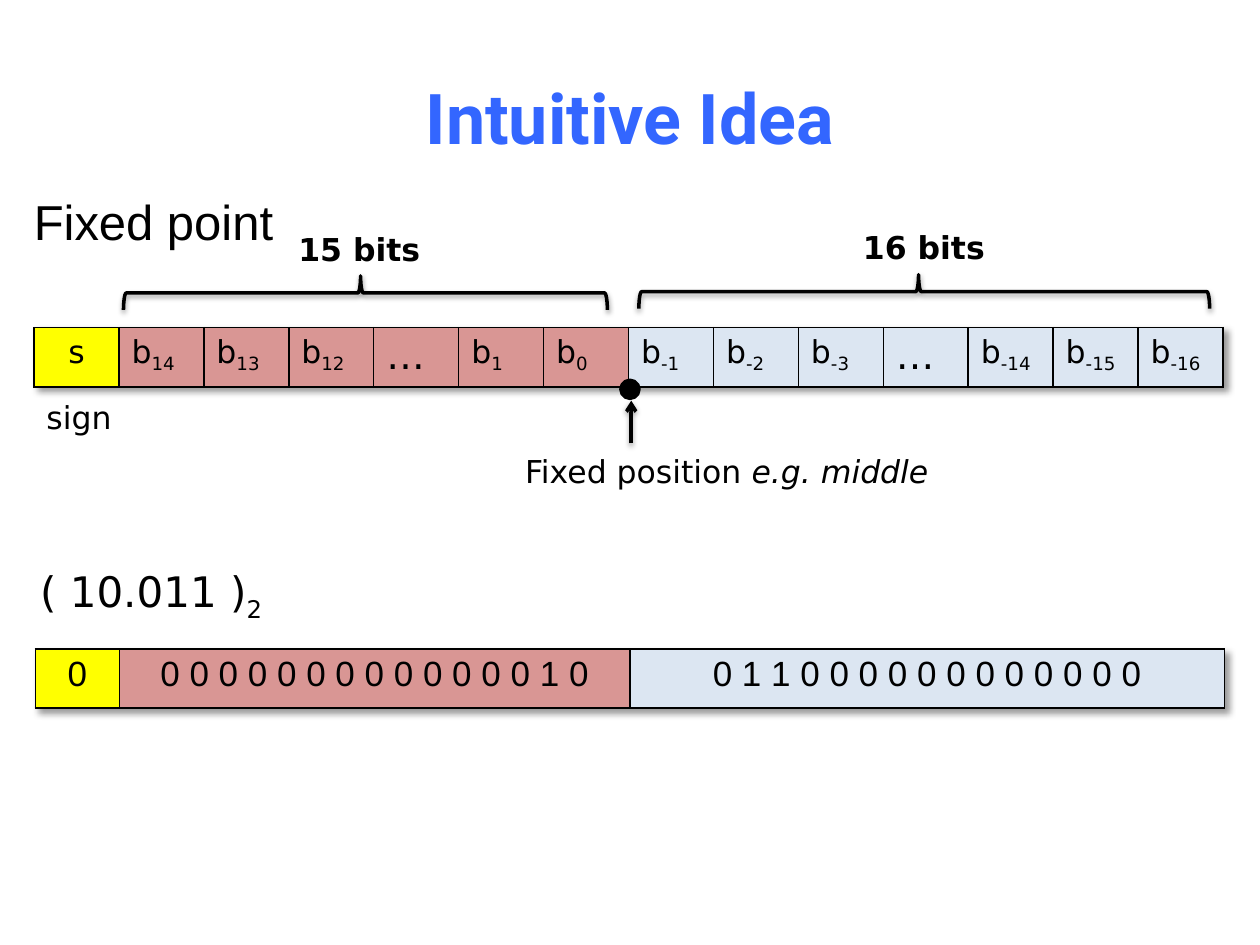
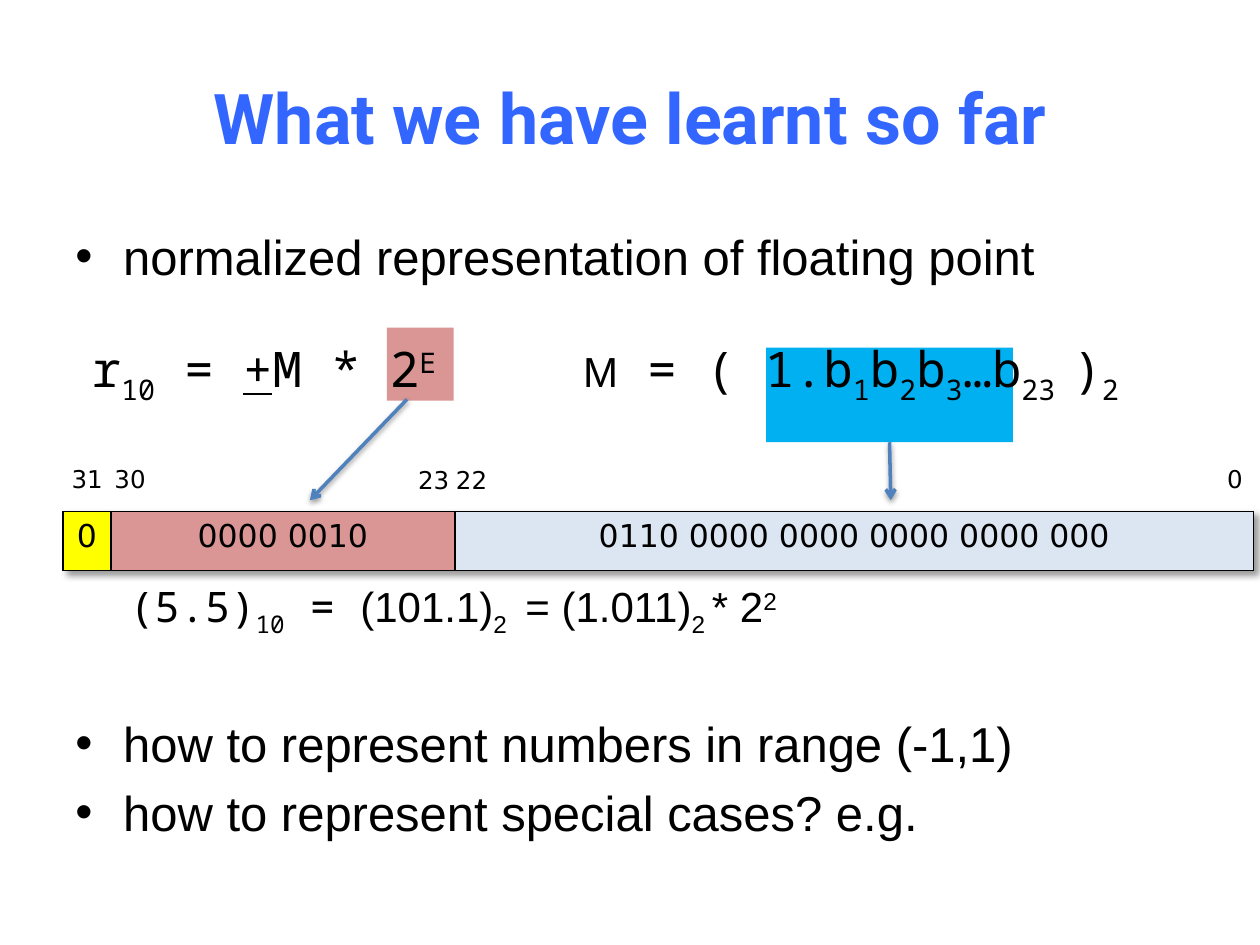
from lxml.etree import SubElement
from pptx import Presentation
from pptx.dml.color import RGBColor
from pptx.enum.shapes import MSO_CONNECTOR, MSO_SHAPE
from pptx.enum.text import MSO_ANCHOR, PP_ALIGN
from pptx.oxml import parse_xml
from pptx.oxml.ns import nsdecls, qn
from pptx.util import Inches, Pt

COLORS = {
    "title": "3366FF", "text": "000000", "sign": "FFFF00", "red": "D99694",
    "pale": "DCE6F2", "mantissa": "00B0F0", "arrow": "4F81BD",
}
TITLE_FONT, BODY_FONT, LABEL_FONT, MONO_FONT = "Roboto", "Arial", "DejaVu Sans", "Noto Sans Mono"
TABLE_WIDTH, ROW_HEIGHT = 9.44, 0.47
SOFT_SHADOW = {"blur": 3.1, "distance": 1.6, "angle": 90, "alpha": 38}
TABLE_SHADOW = {"blur": 4, "distance": 3, "angle": 45, "alpha": 40}


def sub(text):
    return text, {"baseline": -25}


def sup(text):
    return text, {"baseline": 30}


# Fixed point slide
WHOLE_BITS = ["14", "13", "12", "…", "1", "0"]
FRACTION_BITS = ["-1", "-2", "-3", "…", "-14", "-15", "-16"]
FIXED_VALUE = [
    ("0", "sign", 0.67),
    ("0 0 0 0 0 0 0 0 0 0 0 0 0 1 0", "red", 4.05),
    ("0 1 1 0 0 0 0 0 0 0 0 0 0 0 0", "pale", 4.72),
]
BRACES = [(0.98, 2.19, 3.84), (5.07, 2.18, 4.53)]  # left, top, width
BRACE_HEIGHT = 0.27
FIXED_LABELS = [  # left, top, width, height, runs, size, bold
    (0.27, 3.11, 0.72, 0.4, ["sign"], 18, False),
    (2.27, 1.78, 1.17, 0.4, ["15 bits"], 18, True),
    (6.75, 1.76, 1.39, 0.4, ["16 bits"], 18, True),
    (4.07, 3.54, 3.53, 0.4, ["Fixed position ", ("e.g. middle", {"italic": True})], 18, False),
    (0.22, 4.44, 2.18, 0.5, ["( 10.011 )", sub("2")], 24, False),
]

# Floating point slide
FLOAT_VALUE = [
    ("0", "sign", 0.38),
    ("0000 0010", "red", 2.73),
    ("0110 0000 0000 0000 0000 000", "pale", 6.34),
]
BIT_POSITIONS = [("31", 0.47, 3.63, 0.45), ("30", 0.81, 3.63, 0.45), ("23", 3.22, 3.64, 0.45),
                 ("22", 3.52, 3.64, 0.45), ("0", 9.64, 3.63, 0.33)]
ARIAL = {"font": BODY_FONT}
EXAMPLE = ["(5.5)", sub("10"), " = ", ("(101.1)", ARIAL),
           ("2 ", {"baseline": -25, **ARIAL}), (" = (1.011)", ARIAL),
           ("2 ", {"baseline": -25, **ARIAL}), ("* 2", ARIAL),
           ("2", {"baseline": 30, **ARIAL})]
FORMULA = ["r", sub("10"), " = ", ("+", {"underline": True}), "M * 2", sup("E"),
           ("\tM", {"size": 24, **ARIAL}), " = ( 1.b", sub("1"), "b", sub("2"), "b", sub("3"),
           "…b", sub("23 "), ")", sub("2")]
FORMULA_TAB = 3.9
TOP_BULLETS = ["normalized representation of floating point"]
BOTTOM_BULLETS = ["how to represent numbers in range (-1,1)", "how to represent special cases? e.g."]


def rgb(name):
    return RGBColor.from_string(COLORS[name])


def write_runs(paragraph, runs, size, font=LABEL_FONT, bold=False, color="text"):
    """Add runs given as plain strings or as (text, changes) pairs."""
    for item in runs:
        text, changes = (item, {}) if isinstance(item, str) else item
        run = paragraph.add_run()
        run.text = text
        run.font.size = Pt(changes.get("size", size))
        run.font.name = changes.get("font", font)
        run.font.bold = bold
        run.font.italic = changes.get("italic")
        run.font.underline = changes.get("underline")
        run.font.color.rgb = rgb(color)
        if "baseline" in changes:
            run.font._element.set("baseline", str(changes["baseline"] * 1000))


def add_text(slide, left, top, width, height, runs, size, font=LABEL_FONT, bold=False,
             color="text", wrap=False):
    box = slide.shapes.add_textbox(Inches(left), Inches(top), Inches(width), Inches(height))
    box.text_frame.word_wrap = wrap
    write_runs(box.text_frame.paragraphs[0], runs, size, font, bold, color)
    return box


def add_title(slide, title):
    box = add_text(slide, 0.5, 0.3, 9, 1.25, [title], 40, TITLE_FONT, True, "title", True)
    box.text_frame.vertical_anchor = MSO_ANCHOR.MIDDLE
    box.text_frame.paragraphs[0].alignment = PP_ALIGN.CENTER


def add_bullets(slide, top, height, items):
    box = slide.shapes.add_textbox(Inches(0.5), Inches(top), Inches(9), Inches(height))
    frame = box.text_frame
    frame.word_wrap = True
    for index, item in enumerate(items):
        paragraph = frame.paragraphs[0] if index == 0 else frame.add_paragraph()
        if index:
            paragraph.space_before = Pt(6)
        properties = paragraph._p.get_or_add_pPr()
        properties.set("marL", str(Inches(0.38)))
        properties.set("indent", str(-Inches(0.38)))
        SubElement(properties, qn("a:buFont"), typeface=BODY_FONT)
        SubElement(properties, qn("a:buChar"), char="•")
        write_runs(paragraph, [item], 28, BODY_FONT)


def shadow_effect(blur, distance, angle, alpha):
    return parse_xml(
        f'<a:effectLst {nsdecls("a")}><a:outerShdw blurRad="{Pt(blur)}" dist="{Pt(distance)}" '
        f'dir="{angle * 60000}" algn="tl" rotWithShape="0"><a:srgbClr val="{COLORS["text"]}">'
        f'<a:alpha val="{alpha * 1000}"/></a:srgbClr></a:outerShdw></a:effectLst>')


def add_shape(slide, kind, left, top, width, height, fill=None, line_width=None):
    shape = slide.shapes.add_shape(kind, Inches(left), Inches(top), Inches(width), Inches(height))
    shape.shadow.inherit = False
    if fill:
        shape.fill.solid()
        shape.fill.fore_color.rgb = rgb(fill)
    else:
        shape.fill.background()
    if line_width:
        shape.line.color.rgb = rgb("text")
        shape.line.width = Pt(line_width)
    else:
        shape.line.fill.background()
    return shape


def add_brace(slide, left, top, width):
    """Turn a left brace a quarter so that it spans the width and points up."""
    brace = add_shape(slide, MSO_SHAPE.LEFT_BRACE, left + (width - BRACE_HEIGHT) / 2,
                      top + (BRACE_HEIGHT - width) / 2, BRACE_HEIGHT, width, line_width=2)
    brace.rotation = 90
    brace.adjustments[0] = 0.083
    brace.adjustments[1] = 0.51
    properties = brace._element.spPr
    properties.replace(properties.find(qn("a:effectLst")), shadow_effect(**SOFT_SHADOW))


def add_arrow(slide, start, end, color):
    arrow = slide.shapes.add_connector(MSO_CONNECTOR.STRAIGHT, *map(Inches, start + end))
    arrow.line.color.rgb = rgb(color)
    arrow.line.width = Pt(2)
    properties = arrow._element.spPr
    SubElement(properties.find(qn("a:ln")), qn("a:tailEnd"), type="arrow")
    properties.append(shadow_effect(**SOFT_SHADOW))
    return arrow


def add_bit_row(slide, left, top, cells, size, font=LABEL_FONT, centered=True):
    """Draw one row of cells given as (runs, fill, width)."""
    frame = slide.shapes.add_table(1, len(cells), Inches(left), Inches(top),
                                   Inches(TABLE_WIDTH), Inches(ROW_HEIGHT))
    table = frame.table
    table.first_row = table.horz_banding = False
    table._tbl.tblPr.insert(0, shadow_effect(**TABLE_SHADOW))
    table.rows[0].height = Inches(ROW_HEIGHT)
    for index, (runs, fill, width) in enumerate(cells):
        table.columns[index].width = Inches(width)
        cell = table.cell(0, index)
        cell.fill.solid()
        cell.fill.fore_color.rgb = rgb(fill)
        paragraph = cell.text_frame.paragraphs[0]
        if centered or fill == "sign":
            paragraph.alignment = PP_ALIGN.CENTER
        write_runs(paragraph, runs, size, font)
        for position, side in enumerate(("lnL", "lnR", "lnT", "lnB")):
            cell._tc.tcPr.insert(position, parse_xml(
                f'<a:{side} {nsdecls("a")} w="{Pt(1)}"><a:solidFill>'
                f'<a:srgbClr val="{COLORS["text"]}"/></a:solidFill></a:{side}>'))


def value_cells(values):
    return [([text], fill, width) for text, fill, width in values]


def bit_runs(index):
    return [("…", {"size": 22})] if index == "…" else ["b", sub(index)]


def build_fixed_point(slide):
    add_title(slide, "Intuitive Idea")
    add_text(slide, 0.17, 1.47, 9, 4.95, ["Fixed point"], 28, BODY_FONT, wrap=True)
    width = TABLE_WIDTH / (1 + len(WHOLE_BITS) + len(FRACTION_BITS))
    cells = [(["s"], "sign", width)]
    cells += [(bit_runs(index), "red", width) for index in WHOLE_BITS]
    cells += [(bit_runs(index), "pale", width) for index in FRACTION_BITS]
    add_bit_row(slide, 0.27, 2.6, cells, 18, centered=False)
    for brace in BRACES:
        add_brace(slide, *brace)
    add_shape(slide, MSO_SHAPE.OVAL, 4.93, 3.02, 0.14, 0.14, "text", 2.25)
    add_arrow(slide, (5.01, 3.52), (5.01, 3.18), "text")
    for left, top, label_width, height, runs, size, bold in FIXED_LABELS:
        add_text(slide, left, top, label_width, height, runs, size, bold=bold)
    add_bit_row(slide, 0.28, 5.15, value_cells(FIXED_VALUE), 20, BODY_FONT)


def build_floating_point(slide):
    add_title(slide, "What we have learnt so far")
    add_bullets(slide, 1.75, 3.63, TOP_BULLETS)
    add_bit_row(slide, 0.5, 4.06, value_cells(FLOAT_VALUE), 18)
    for text, left, top, width in BIT_POSITIONS:
        add_text(slide, left, top, width, 0.34, [text], 14)
    add_text(slide, 0.93, 4.56, 8.76, 0.63, EXAMPLE, 24, MONO_FONT, wrap=True)
    mantissa = add_shape(slide, MSO_SHAPE.RECTANGLE, 6.08, 2.76, 1.96, 0.75, "mantissa")
    add_arrow(slide, (7.06, 3.51), (7.07, 3.97), "arrow").begin_connect(mantissa, 2)
    add_shape(slide, MSO_SHAPE.RECTANGLE, 3.07, 2.6, 0.53, 0.58, "red")
    add_arrow(slide, (3.23, 3.17), (2.46, 3.97), "arrow")
    add_bullets(slide, 5.61, 1.59, BOTTOM_BULLETS)
    formula = add_text(slide, 0.63, 2.64, 8.76, 0.75, FORMULA, 28, MONO_FONT, wrap=True)
    properties = formula.text_frame.paragraphs[0]._p.get_or_add_pPr()
    tabs = SubElement(properties, qn("a:tabLst"))
    SubElement(tabs, qn("a:tab"), pos=str(Inches(FORMULA_TAB)), algn="l")


def main():
    presentation = Presentation()
    presentation.slide_width, presentation.slide_height = Inches(10), Inches(7.5)
    for build in (build_fixed_point, build_floating_point):
        build(presentation.slides.add_slide(presentation.slide_layouts[6]))
    presentation.save("out.pptx")


if __name__ == "__main__":
    main()
